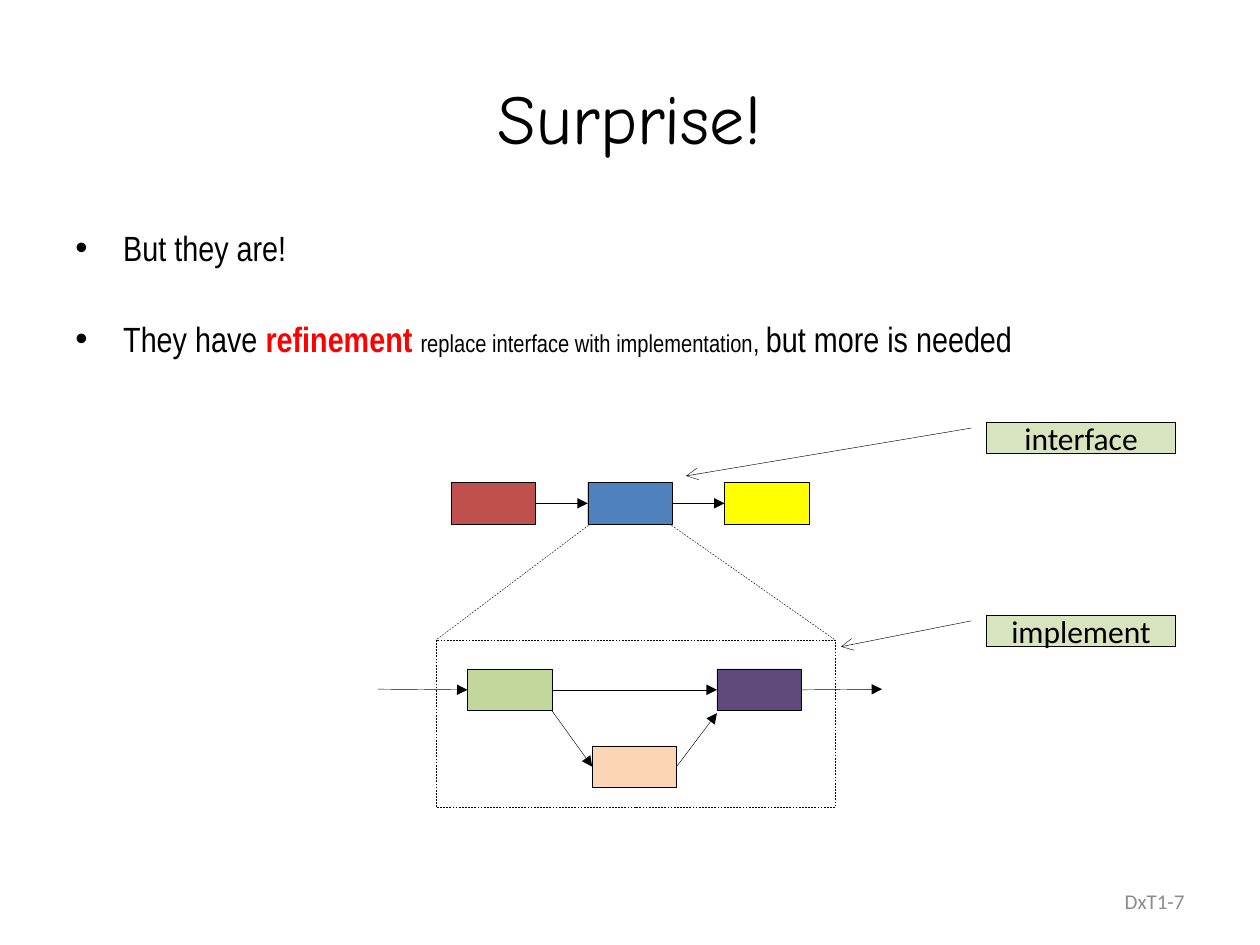
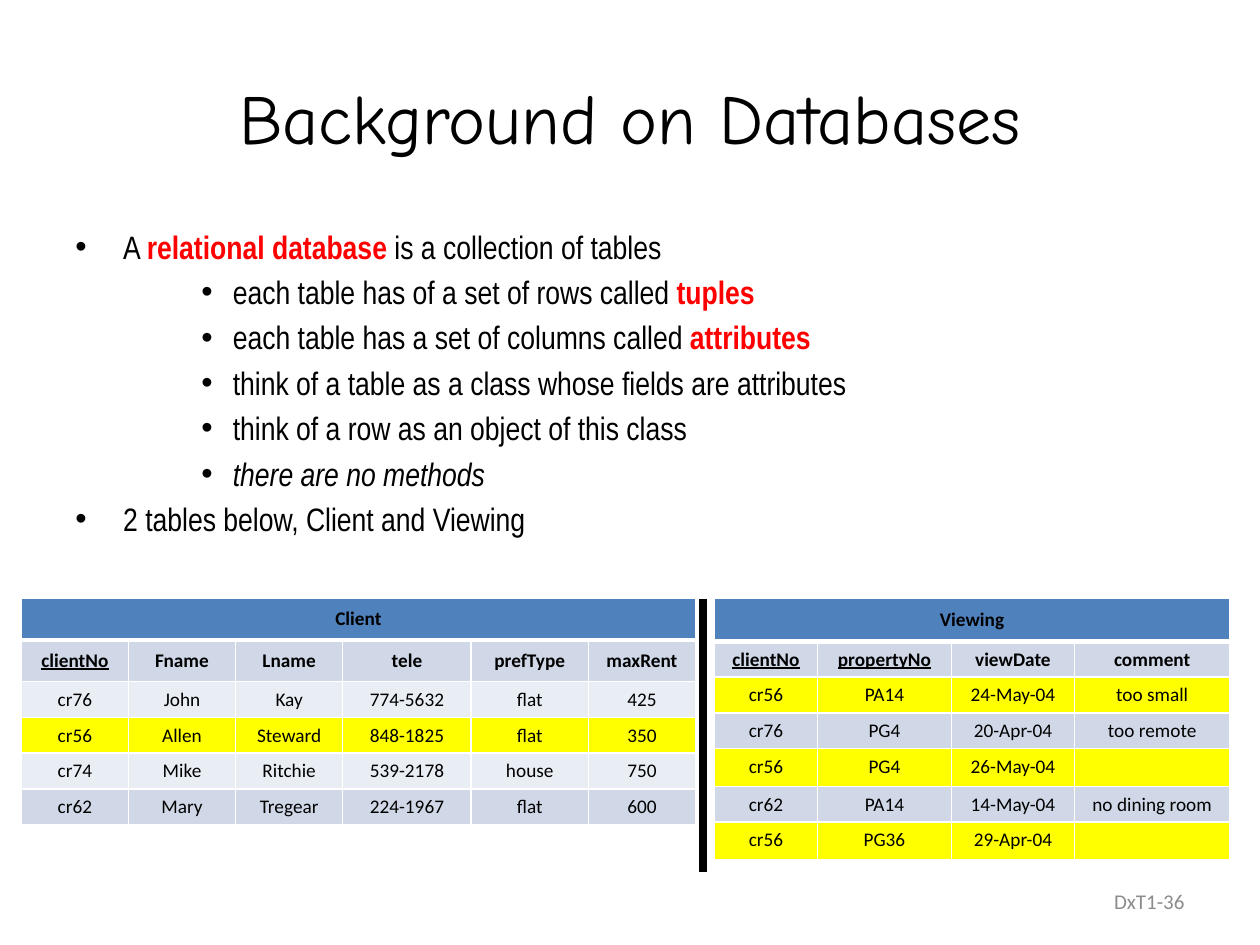
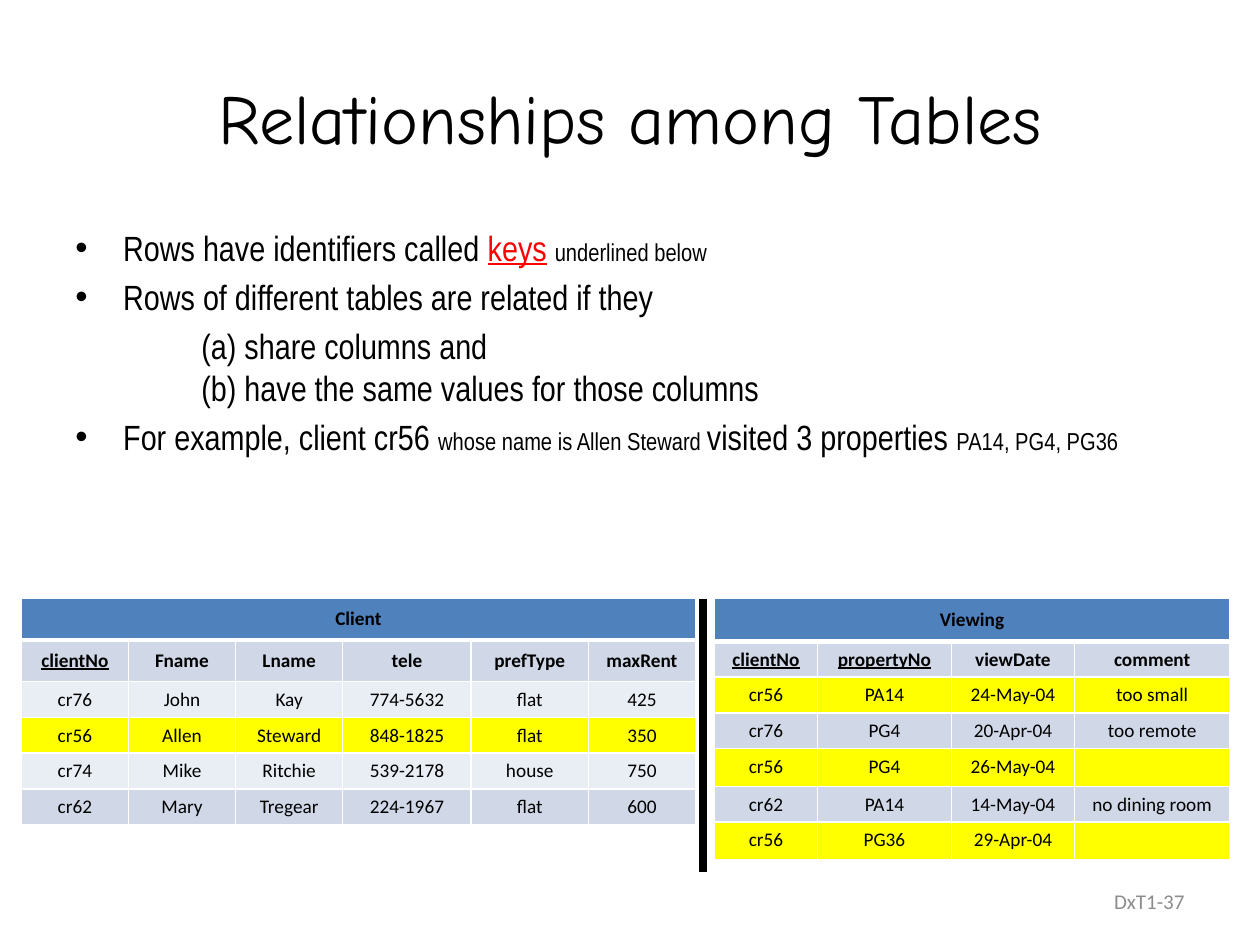
from lxml.etree import SubElement as Sub
from pptx import Presentation
from pptx.dml.color import RGBColor as Rgb
from pptx.enum.dml import MSO_LINE as Dash
from pptx.enum.shapes import MSO_CONNECTOR as Conn, MSO_SHAPE as Form
from pptx.enum.text import MSO_ANCHOR as Anchor, PP_ALIGN as Align
from pptx.oxml.ns import qn
from pptx.util import Inches, Pt

HUES = {
    "black": "000000", "white": "FFFFFF", "gray": "8C8C8C", "red": "FF0000",
    "brick": "C0504D", "blue": "4F81BD", "yellow": "FFFF00", "green": "C3D69B",
    "purple": "604A7B", "peach": "FCD5B5", "mint": "D7E4BD",
    "dark": "D0D8E8", "light": "E9EDF4",
}
# Formats for parts of a body line
MARKS = {
    "": {},
    "term": {"hue": "red", "bold": True},
    "key": {"hue": "red", "underline": True},
    "small": {"size": Pt(14)},
    "mid": {"size": Pt(16)},
    "slant": {"italic": True},
}
# Left margin, first-line indent and bullet of each body level
LEVELS = {"top": (0.38, -0.38, True), "sub": (1.25, -0.25, True), "plain": (1, 0, False)}
BOX = (0.67, 0.33)
KEYS = ("clientNo", "propertyNo")


def rgb(hue):
    return Rgb.from_string(HUES[hue])


class Deck:
    def __init__(self):
        self.prs = Presentation()
        self.prs.slide_width, self.prs.slide_height = Inches(10), Inches(7.5)

    def slide(self, title, page):
        """Start a slide with its title and page mark."""
        self.page = self.prs.slides.add_slide(self.prs.slide_layouts[6])
        for text, area, align, form in (
            (title, (0.5, 0.3, 9, 1.25), Align.CENTER, {"name": "Comic Neue", "size": Pt(40)}),
            (f"DxT1-{page}", (7.17, 6.95, 2.33, 0.4), Align.RIGHT,
             {"name": "Calibri", "size": Pt(12), "hue": "gray"}),
        ):
            frame = self.frame(area)
            frame.vertical_anchor = Anchor.MIDDLE
            self.put(frame.paragraphs[0], text, align, form)

    def frame(self, area):
        frame = self.page.shapes.add_textbox(*map(Inches, area)).text_frame
        frame.word_wrap = True
        return frame

    def put(self, para, text, align, form):
        para.alignment = align
        run = para.add_run()
        run.text = text
        form = {"hue": "black", **form}
        run.font.color.rgb = rgb(form.pop("hue"))
        for name, value in form.items():
            setattr(run.font, name, value)

    def body(self, lines, size, height, gap=None):
        """Set lines of (level, (text, mark), ...); gap is the space between them."""
        frame = self.frame((0.5, 1.75, 9, height))
        for num, (level, *parts) in enumerate(lines):
            para = frame.add_paragraph() if num else frame.paragraphs[0]
            para.space_before = Pt(gap if gap and num else size / 5)
            left, first, dot = LEVELS[level]
            props = para._p.get_or_add_pPr()
            props.set("marL", str(Inches(left)))
            props.set("indent", str(Inches(first)))
            if dot:
                Sub(props, qn("a:buFont"), typeface="Arial")
                Sub(props, qn("a:buChar"), char="•")
            for row, (text, mark) in enumerate(parts):
                if level == "plain" and row:
                    para.add_line_break()
                form = {"name": "Arial Narrow", "size": Pt(size), **MARKS[mark]}
                self.put(para, text, Align.LEFT, form)

    def edge(self, line, width=0.25, dash=False, tip=None):
        line.color.rgb = rgb("black")
        line.width = Pt(width)
        if dash:
            line.dash_style = Dash.DASH
        if tip:
            Sub(line._get_or_add_ln(), qn("a:tailEnd"), type=tip)

    def box(self, left, top, hue=None, size=BOX, form=Form.RECTANGLE, **edge):
        shape = self.page.shapes.add_shape(form, *map(Inches, (left, top, *size)))
        shape.shadow.inherit = False
        if hue:
            shape.fill.solid()
            shape.fill.fore_color.rgb = rgb(hue)
        else:
            shape.fill.background()
        self.edge(shape.line, **edge)
        return shape

    def call(self, text, top, tip):
        """Draw a label whose arrow ends at tip, as (y, x) shares of its size."""
        shape = self.box(7.83, top, "mint", (1.5, 0.25), Form.LINE_CALLOUT_1, tip="arrow")
        for num, value in enumerate((0.19, -0.08, *tip)):
            shape.adjustments[num] = value
        frame = shape.text_frame
        frame.vertical_anchor = Anchor.MIDDLE
        self.put(frame.paragraphs[0], text, Align.CENTER, {"name": "Calibri", "size": Pt(18)})

    def line(self, start, end, **edge):
        """Join two ends, each a point (x, y) or a pair (shape, side)."""
        spots = [(0, 0) if hasattr(e[0], "shape_id") else e for e in (start, end)]
        line = self.page.shapes.add_connector(
            Conn.STRAIGHT, *(Inches(n) for spot in spots for n in spot))
        for join, spot in ((line.begin_connect, start), (line.end_connect, end)):
            if hasattr(spot[0], "shape_id"):
                join(*spot)
        self.edge(line.line, **edge)
        Sub(line._element.spPr, qn("a:effectLst"))

    def table(self, left, title, cols, rows, data):
        area = (left, 4.75, sum(cols), sum(rows))
        grid = self.page.shapes.add_table(
            len(rows), len(cols), *map(Inches, area)).table
        grid.first_row = grid.horz_banding = False
        for col, width in zip(grid.columns, cols):
            col.width = Inches(width)
        for row, height in zip(grid.rows, rows):
            row.height = Inches(height)
        cells = [[title] + [""] * (len(cols) - 1), *data]
        for num, texts in enumerate(cells):
            hue = ("blue" if num == 0 else "yellow" if texts[0] == "cr56"
                   else "dark" if num % 2 else "light")
            for col, text in enumerate(texts):
                self.cell(grid.cell(num, col), num, text, hue)
        grid.cell(0, 0).merge(grid.cell(0, len(cols) - 1))

    def cell(self, cell, row, text, hue):
        props = cell._tc.get_or_add_tcPr()
        for side in "LRTB":
            thick = (row, side) in ((0, "B"), (1, "T"))
            line = Sub(props, qn(f"a:ln{side}"), w=str(Pt(3 if thick else 1)))
            Sub(Sub(line, qn("a:solidFill")), qn("a:srgbClr"), val=HUES["white"])
        cell.fill.solid()
        cell.fill.fore_color.rgb = rgb(hue)
        cell.vertical_anchor = Anchor.MIDDLE if row < 2 else Anchor.TOP
        para = cell.text_frame.paragraphs[0]
        if text:
            form = {"name": "Calibri", "size": Pt(11), "bold": row < 2, "underline": text in KEYS}
            self.put(para, text, Align.CENTER, form)
        else:
            para._p.get_or_add_endParaRPr().set("sz", "1100")


def surprise(deck):
    deck.slide("Surprise!", 7)
    deck.body([
        ("top", ("But they are!", "")),
        ("top", ("They have ", ""), ("refinement ", "term"),
         ("replace interface with implementation", "small"), (", ", "mid"),
         ("but more is needed", "")),
    ], 20, 1.11, gap=28)

    # Interface row
    first, mid, last = (deck.box(3.58 + 1.085 * num, 3.83, hue)
                        for num, hue in enumerate(("brick", "blue", "yellow")))
    for start, end in ((first, mid), (mid, last)):
        deck.line((start, 3), (end, 1), tip="triangle")

    # Implementation, opened from the middle box
    deck.box(3.46, 5.08, size=(3.17, 1.33), dash=True)
    for start, end in (((4.67, 4.17), (3.46, 5.08)), ((5.33, 4.17), (6.63, 5.08))):
        deck.line(start, end, dash=True)
    split = deck.box(3.71, 5.31, "green")
    merge = deck.box(5.69, 5.31, "purple")
    work = deck.box(4.7, 5.92, "peach")
    for start, end in (
        ((3, 5.47), (split, 1)), ((split, 3), (merge, 1)), ((merge, 3), (7, 5.47)),
        ((4.38, 5.64), (work, 1)), ((work, 3), (5.69, 5.66)),
    ):
        deck.line(start, end, tip="triangle")

    # Labels
    deck.call("interface", 3.35, (1.71, -1.59))
    deck.call("implement", 4.88, (1.01, -0.77))


def tables(deck):
    deck.table(0.17, "Client", (0.85, 0.85, 0.85, 1.02, 0.93, 0.85),
               (0.33, 0.33, 0.25, 0.25, 0.25, 0.25), [
        ("clientNo", "Fname", "Lname", "tele", "prefType", "maxRent"),
        ("cr76", "John", "Kay", "774-5632", "flat", "425"),
        ("cr56", "Allen", "Steward", "848-1825", "flat", "350"),
        ("cr74", "Mike", "Ritchie", "539-2178", "house", "750"),
        ("cr62", "Mary", "Tregear", "224-1967", "flat", "600"),
    ])
    deck.table(5.67, "Viewing", (0.82, 1.06, 0.98, 1.23),
               (0.34, 0.26, 0.26, 0.26, 0.3, 0.26, 0.3), [
        ("clientNo", "propertyNo", "viewDate", "comment"),
        ("cr56", "PA14", "24-May-04", "too small"),
        ("cr76", "PG4", "20-Apr-04", "too remote"),
        ("cr56", "PG4", "26-May-04", ""),
        ("cr62", "PA14", "14-May-04", "no dining room"),
        ("cr56", "PG36", "29-Apr-04", ""),
    ])
    deck.line((5.58, 4.75), (5.58, 6.92), width=4.5)


def basics(deck):
    deck.slide("Background on Databases", 36)
    deck.body([
        ("top", ("A ", ""), ("relational database ", "term"),
         ("is a collection of tables", "")),
        ("sub", ("each table has of a set of rows called ", ""), ("tuples", "term")),
        ("sub", ("each table has a set of columns called ", ""), ("attributes", "term")),
        ("sub", ("think of a table as a class whose fields are attributes", "")),
        ("sub", ("think of a row as an object of this class", "")),
        ("sub", ("there are no methods", "slant")),
        ("top", ("2 tables below, Client and Viewing", "")),
    ], 18.5, 2.58)
    tables(deck)


def links(deck):
    deck.slide("Relationships among Tables", 37)
    deck.body([
        ("top", ("Rows have identifiers called ", ""), ("keys", "key"), (" ", ""),
         ("underlined below", "small")),
        ("top", ("Rows of different tables are related if they", "")),
        ("plain", ("(a) share columns and ", ""),
         ("(b) have the same values for those columns", "")),
        ("top", ("For example, client cr56 ", ""), ("whose name is Allen Steward ", "small"),
         ("visited 3 properties ", ""), ("PA14, PG4, PG36", "small")),
    ], 20, 2.42)
    tables(deck)


def main():
    deck = Deck()
    for build in (surprise, basics, links):
        build(deck)
    deck.prs.save("out.pptx")


if __name__ == "__main__":
    main()
